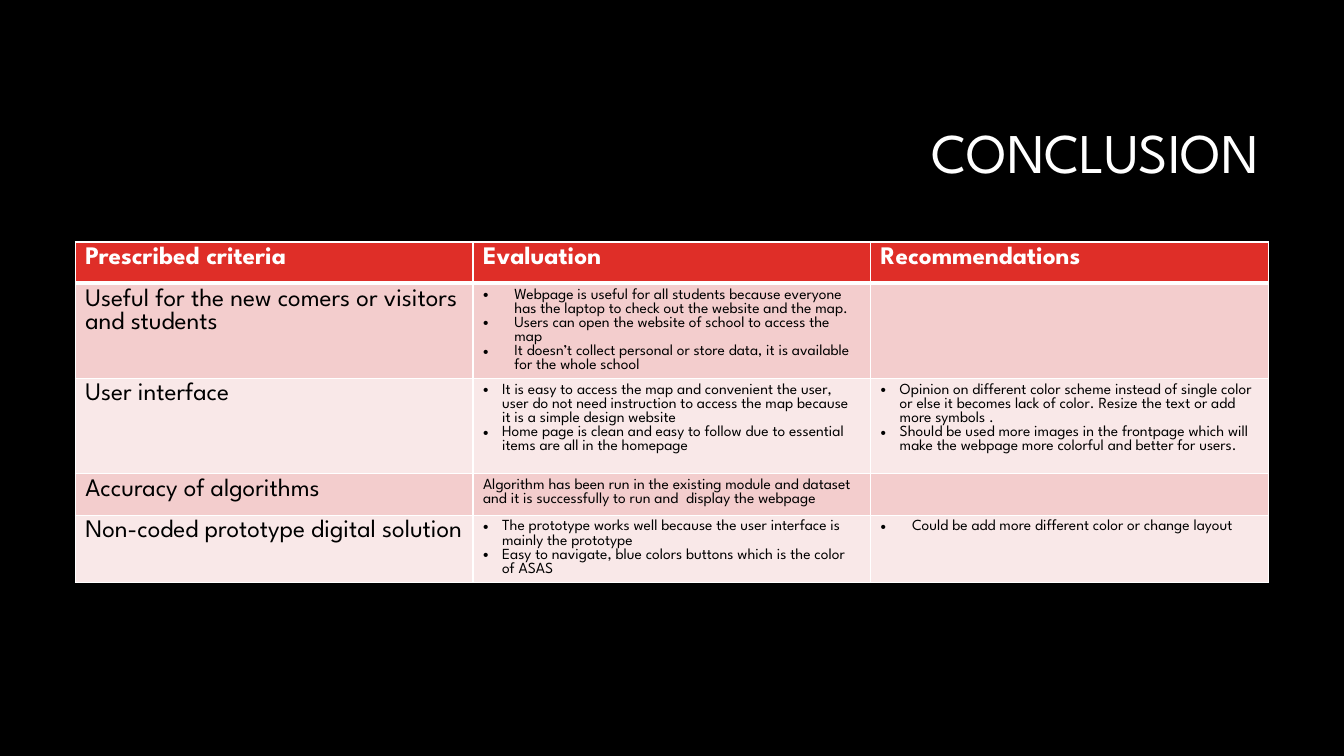
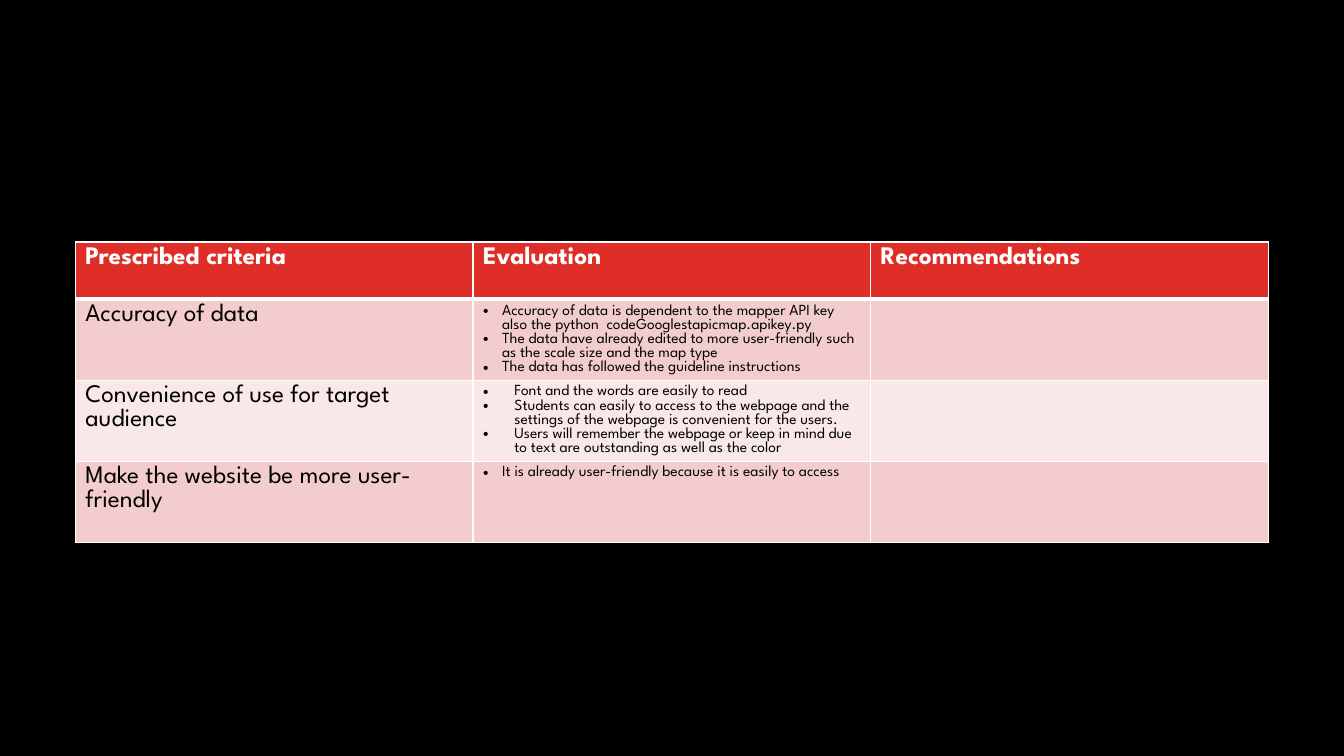
from dataclasses import dataclass

from lxml import etree
from pptx import Presentation
from pptx import util as u
from pptx.dml.color import RGBColor
from pptx.enum import text
from pptx.oxml import ns


# Theme: every colour, type size and line width
@dataclass(frozen=True)
class Theme:
    font: str = "League Spartan"
    background: str = "000000"
    light: str = "FFFFFF"
    dark: str = "000000"
    header: str = "DF2E28"
    bands: tuple = ("F3CDCD", "F9E8E8")
    title_size: int = 40
    heading_size: int = 18
    detail_size: int = 11
    thin: float = 1
    thick: float = 3


@dataclass(frozen=True)
class Bullets:
    items: tuple
    indent: float = 0.48


WIDE_INDENT = 0.79
COLUMN_WIDTH = 10.02
HEADINGS = ("Prescribed criteria", "Evaluation", "Recommendations")


class Builder:
    """Holds the theme, the deck and the current page."""

    def __init__(self, theme):
        self.theme = theme
        self.deck = Presentation()
        self.deck.slide_width = u.Cm(33.87)
        self.deck.slide_height = u.Cm(19.05)
        fill = self.deck.slide_master.background.fill
        fill.solid()
        fill.fore_color.rgb = RGBColor.from_string(theme.background)
        self.page = None

    def new_page(self, layout_name):
        layout = self.deck.slide_layouts.get_by_name(layout_name)
        self.page = self.deck.slides.add_slide(layout)

    def style(self, para, size, color, bold=False):
        for span in para.runs:
            span.font.name = self.theme.font
            span.font.size = u.Pt(size)
            span.font.bold = bold
            span.font.color.rgb = RGBColor.from_string(color)

    def title(self, wording):
        box = self.page.shapes.title
        box.left, box.top = u.Cm(8.05), u.Cm(2.13)
        box.width, box.height = u.Cm(23.93), u.Cm(3.58)
        frame = box.text_frame
        frame.text = wording
        frame.word_wrap = True
        frame.auto_size = text.MSO_AUTO_SIZE.NONE
        frame.vertical_anchor = text.MSO_ANCHOR.MIDDLE
        para = frame.paragraphs[0]
        para.alignment = text.PP_ALIGN.RIGHT
        para.line_spacing = 0.9
        self.style(para, self.theme.title_size, self.theme.light)

    def bullet(self, para, indent):
        properties = para._p.get_or_add_pPr()
        properties.set("marL", str(u.Cm(indent)))
        properties.set("indent", str(-u.Cm(indent)))
        etree.SubElement(properties, ns.qn("a:buFont"), typeface="Arial")
        etree.SubElement(properties, ns.qn("a:buChar"), char="•")

    def borders(self, cell, top, bottom):
        thin = self.theme.thin
        properties = cell._tc.get_or_add_tcPr()
        for side, width in zip("LRTB", (thin, thin, top, bottom)):
            line = etree.SubElement(properties, ns.qn(f"a:ln{side}"), w=str(u.Pt(width)))
            fill = etree.SubElement(line, ns.qn("a:solidFill"))
            etree.SubElement(fill, ns.qn("a:srgbClr"), val=self.theme.light)

    def cell(self, cell, content, fill, size, color, bold):
        cell.fill.solid()
        cell.fill.fore_color.rgb = RGBColor.from_string(fill)
        if not content:
            return
        bulleted = isinstance(content, Bullets)
        cell.text_frame.text = "\n".join(content.items) if bulleted else content
        for para in cell.text_frame.paragraphs:
            if bulleted:
                self.bullet(para, content.indent)
            self.style(para, size, color, bold)

    def criteria_table(self, heights, body):
        theme = self.theme
        rows = [HEADINGS, *body]
        frame = self.page.shapes.add_table(
            len(rows), len(HEADINGS), u.Cm(1.9), u.Cm(6.1),
            u.Cm(COLUMN_WIDTH * len(HEADINGS)), u.Cm(sum(heights)))
        table = frame.table
        table.horz_banding = False
        for column in table.columns:
            column.width = u.Cm(COLUMN_WIDTH)
        for r, (height, contents) in enumerate(zip(heights, rows)):
            table.rows[r].height = u.Cm(height)
            is_header = r == 0
            fill = theme.header if is_header else theme.bands[(r - 1) % 2]
            color = theme.light if is_header else theme.dark
            top = theme.thick if r == 1 else theme.thin
            bottom = theme.thick if is_header else theme.thin
            for c, content in enumerate(contents):
                size = theme.heading_size if is_header or c == 0 else theme.detail_size
                self.borders(table.cell(r, c), top, bottom)
                self.cell(table.cell(r, c), content, fill, size, color, is_header)


def main():
    builder = Builder(Theme())

    # Conclusion, first part
    builder.new_page("Title Only")
    builder.title("CONCLUSION")
    builder.criteria_table((1.04, 2.39, 2.41, 1.04, 1.69), (
        ("Useful for the new comers or visitors and students",
         Bullets((
             "Webpage is useful for all students because everyone has the laptop "
             "to check out the website and the map.",
             "Users can open the website of school to access the map",
             "It doesn’t collect personal or store data, it is available for the "
             "whole school"), WIDE_INDENT),
         ""),
        ("User interface",
         Bullets((
             "It is easy to access the map and convenient the user, user do not need "
             "instruction to access the map because it is a simple design website",
             "Home page is clean and easy to follow due to essential items are all in "
             "the homepage")),
         Bullets((
             "Opinion on different color scheme instead of single color or else it "
             "becomes lack of color. Resize the text or add more symbols .",
             "Should be used more images in the frontpage which will make the webpage "
             "more colorful and better for users."))),
        ("Accuracy of algorithms",
         "Algorithm has been run in the existing module and dataset and it is "
         "successfully to run and  display the webpage",
         ""),
        ("Non-coded prototype digital solution",
         Bullets((
             "The prototype works well because the user interface is mainly the prototype",
             "Easy to navigate, blue colors buttons which is the color of ASAS")),
         Bullets(("Could be add more different color or change layout",), WIDE_INDENT)),
    ))

    # Conclusion, second part
    builder.new_page("Blank")
    builder.criteria_table((1.44, 2.04, 2.04, 2.04), (
        ("Accuracy of data",
         Bullets((
             "Accuracy of data is dependent to the mapper API key also the python  "
             "codeGooglestapicmap.apikey.py",
             "The data have already edited to more user-friendly such as the scale "
             "size and the map type",
             "The data has followed the guideline instructions")),
         ""),
        ("Convenience of use for target audience",
         Bullets((
             "Font and the words are easily to read",
             "Students can easily to access to the webpage and the settings of the "
             "webpage is convenient for the users.",
             "Users will remember the webpage or keep in mind due to text are "
             "outstanding as well as the color"), WIDE_INDENT),
         ""),
        ("Make the website be more user-friendly",
         Bullets(("It is already user-friendly because it is easily to access",)),
         ""),
    ))

    builder.deck.save("out.pptx")


if __name__ == "__main__":
    main()
